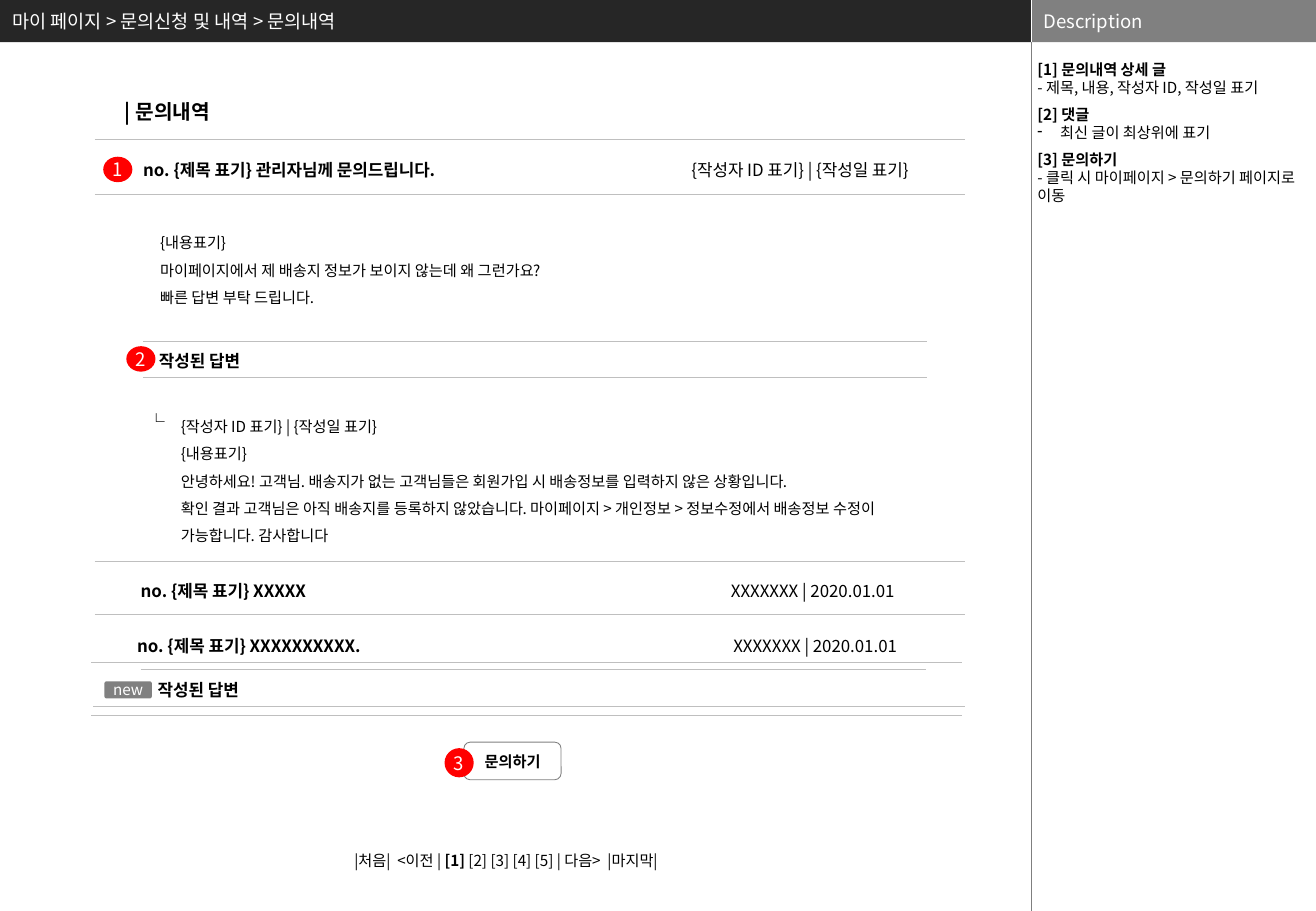
from lxml import etree
from pptx import Presentation
from pptx.dml.color import RGBColor
from pptx.enum.shapes import MSO_CONNECTOR, MSO_SHAPE
from pptx.enum.text import MSO_ANCHOR, MSO_AUTO_SIZE, PP_ALIGN
from pptx.oxml.ns import qn
from pptx.util import Pt

LEFT, CENTER = PP_ALIGN.LEFT, PP_ALIGN.CENTER
TOP, MIDDLE = MSO_ANCHOR.TOP, MSO_ANCHOR.MIDDLE
STRAIGHT = MSO_CONNECTOR.STRAIGHT
RECTANGLE, OVAL, ROUNDED = MSO_SHAPE.RECTANGLE, MSO_SHAPE.OVAL, MSO_SHAPE.ROUNDED_RECTANGLE
FIT, FIXED = MSO_AUTO_SIZE.SHAPE_TO_FIT_TEXT, MSO_AUTO_SIZE.NONE

FONT = "Noto Sans CJK KR"
BLACK, WHITE, RED = "000000", "FFFFFF", "FF0000"
DARK, GRAY, RULE = "262626", "808080", "BFBFBF"
PAGE_WIDTH, PAGE_HEIGHT = 780, 540
SIDE_LEFT, BAR_HEIGHT = 611.3, 25

BREADCRUMB = "마이 페이지 > 문의신청 및 내역 > 문의내역"
RULES = [
    (56.2, 571.7, 82.8), (56.2, 571.7, 115.2),
    (85, 549.4, 202.3), (85, 549.4, 223.9),
    (56.2, 571.7, 332.6), (56.2, 571.7, 364.3),
    (54, 570.2, 392.4), (83.5, 548.6, 396.7),
    (55.4, 571.7, 419), (54, 570.2, 424.1),
]
HEADING = ((67, 55.4, 113, 21.6), "| 문의내역")
BOLD_LABELS = [
    ((77.8, 91.4, 206.6, 19.4), "no. {제목 표기} 관리자님께 문의드립니다."),
    ((87.1, 204.5, 68.4, 19.4), "작성된 답변"),
    ((76.3, 340.6, 121, 19.4), "no. {제목 표기} XXXXX"),
    ((74.2, 373, 156.2, 19.4), "no. {제목 표기} XXXXXXXXXX."),
    ((86.4, 399.6, 68.4, 19.4), "작성된 답변"),
]
AUTHORS = [
    ((387.4, 91.4, 173.5, 19.4), "{작성자 ID 표기} | {작성일 표기}"),
    ((424.1, 340.6, 115.2, 19.4), "XXXXXXX | 2020.01.01"),
    ((425.5, 373, 115.2, 19.4), "XXXXXXX | 2020.01.01"),
]
BODIES = [
    ((87.8, 129.6, 450.7, 56.2), 9, [
        "{내용표기}",
        "마이페이지에서 제 배송지 정보가 보이지 않는데 왜 그런가요?",
        "빠른 답변 부탁 드립니다."]),
    ((80.6, 234.7, 29.5, 23), 10, ["└"]),
    ((100.1, 238.3, 425.5, 89.3), 9, [
        "{작성자 ID 표기} | {작성일 표기}",
        "{내용표기}",
        "안녕하세요! 고객님. 배송지가 없는 고객님들은 회원가입 시 배송정보를 입력하지 않은 상황입니다.",
        "확인 결과 고객님은 아직 배송지를 등록하지 않았습니다. 마이페이지 > 개인정보 > "
        "정보수정에서 배송정보 수정이 가능합니다. 감사합니다"]),
]
BUTTON = ((275, 439.9, 57.6, 22.3), "문의하기")
NEW_TAG = ((61.9, 403.9, 28.1, 10.1), "new")
MARKERS = [
    ((61.2, 92.9, 17.3, 15.1), "1"),
    ((74.9, 205.2, 17.3, 15.1), "2"),
    ((263.5, 443.5, 17.3, 17.3), "3"),
]
PAGER = ((203, 501.1, 218.2, 18), "|처음|  <이전 | *[1]* [2] [3] [4] [5] | 다음>  |마지막|")
NOTES = [
    ("[1] 문의내역 상세 글", "- 제목, 내용, 작성자 ID, 작성일 표기", False),
    ("[2] 댓글", "최신 글이 최상위에 표기", True),
    ("[3] 문의하기", "- 클릭 시 마이페이지 > 문의하기 페이지로 이동", False),
]


def color(value):
    return RGBColor.from_string(value)


def points(values):
    return [Pt(value) for value in values]


def write(frame, lines, size, ink=BLACK, bold=False, align=LEFT, spacing=None,
          anchor=TOP, wrap=True, fit=FIXED, insets=(7.2, 3.6, 7.2, 3.6)):
    frame.word_wrap = wrap
    frame.auto_size = fit
    frame.vertical_anchor = anchor
    (frame.margin_left, frame.margin_top,
     frame.margin_right, frame.margin_bottom) = points(insets)
    for index, line in enumerate(lines):
        para = frame.paragraphs[0] if index == 0 else frame.add_paragraph()
        para.alignment = align
        para.line_spacing = spacing
        font = para.font
        font.size, font.bold, font.name = Pt(size), bold, FONT
        font.color.rgb = color(ink)
        defaults = para._p.pPr.find(qn("a:defRPr"))
        etree.SubElement(defaults, qn("a:ea")).set("typeface", FONT)
        for part, text in enumerate(line.split("*")):
            span = para.add_run()
            span.text = text
            if part % 2:
                span.font.bold = True


def add_text(page, place, lines, size, **style):
    box = page.shapes.add_textbox(*points(place))
    write(box.text_frame, lines, size, **style)
    return box


def add_box(page, kind, place, text, size, fill=None, outline=None, **style):
    box = page.shapes.add_shape(kind, *points(place))
    box.shadow.inherit = False
    if fill:
        box.fill.solid()
        box.fill.fore_color.rgb = color(fill)
    else:
        box.fill.background()
    if outline:
        box.line.color.rgb = color(outline)
        box.line.width = Pt(0.5)
    else:
        box.line.fill.background()
    write(box.text_frame, [text], size, anchor=MIDDLE, **style)
    return box


def add_line(page, ends, ink, width):
    line = page.shapes.add_connector(STRAIGHT, *points(ends))
    line.line.color.rgb = color(ink)
    line.line.width = Pt(width)
    etree.SubElement(line._element.spPr, qn("a:effectLst"))


def add_dash(para):
    properties = para._p.pPr
    properties.set("marL", str(Pt(13.5)))
    properties.set("indent", str(-Pt(13.5)))
    dash = etree.Element(qn("a:buChar"))
    dash.set("char", "-")
    properties.find(qn("a:defRPr")).addprevious(dash)


def add_frame(page):
    title = page.shapes.title
    title.left, title.top, title.width, title.height = points((0, 0, SIDE_LEFT, BAR_HEIGHT))
    title.fill.solid()
    title.fill.fore_color.rgb = color(DARK)
    write(title.text_frame, [BREADCRUMB], 11, ink=WHITE, anchor=MIDDLE)
    add_box(page, RECTANGLE, (SIDE_LEFT, 0, PAGE_WIDTH - SIDE_LEFT, BAR_HEIGHT),
            "Description", 11, fill=GRAY, ink=WHITE)
    add_line(page, (SIDE_LEFT, 0, SIDE_LEFT, BAR_HEIGHT), WHITE, 0.25)
    add_line(page, (SIDE_LEFT, BAR_HEIGHT, SIDE_LEFT, PAGE_HEIGHT), "7F7F7F", 0.25)


def add_notes(page):
    place = (SIDE_LEFT + 0.7, BAR_HEIGHT, PAGE_WIDTH - SIDE_LEFT - 0.7, PAGE_HEIGHT - BAR_HEIGHT)
    lines = [line for head, detail, _ in NOTES for line in (f"*{head}*", detail)]
    box = add_text(page, place, lines, 9, insets=(2.9, 10.8, 2.9, 0))
    paras = box.text_frame.paragraphs
    for index, (_, _, dashed) in enumerate(NOTES):
        if index:
            paras[2 * index].space_before = Pt(5)
        if dashed:
            add_dash(paras[2 * index + 1])


def add_board(page):
    for left, right, y in RULES:
        add_line(page, (left, y, right, y), RULE, 0.5)
    add_text(page, HEADING[0], [HEADING[1]], 12, bold=True)
    for place, text in BOLD_LABELS:
        add_text(page, place, [text], 10, bold=True, wrap=False, fit=FIT)
    for place, text in AUTHORS:
        add_text(page, place, [text], 10, align=CENTER, wrap=False, fit=FIT)
    for place, size, lines in BODIES:
        add_text(page, place, lines, size, spacing=1.5)
    add_box(page, ROUNDED, *BUTTON, 9, outline=GRAY, bold=True, align=CENTER)
    badge = dict(ink=WHITE, align=CENTER, wrap=False, insets=(0, 0, 0, 0))
    tag = add_box(page, ROUNDED, *NEW_TAG, 9, fill=GRAY, **badge)
    tag.adjustments[0] = 0.12
    for place, text in MARKERS:
        add_box(page, OVAL, place, text, 11, fill=RED, **badge)
    add_text(page, PAGER[0], [PAGER[1]], 9, wrap=False, fit=FIT)


def main():
    deck = Presentation()
    deck.slide_width, deck.slide_height = points((PAGE_WIDTH, PAGE_HEIGHT))
    page = deck.slides.add_slide(deck.slide_layouts[5])
    add_frame(page)
    add_notes(page)
    add_board(page)
    deck.save("out.pptx")


if __name__ == "__main__":
    main()
